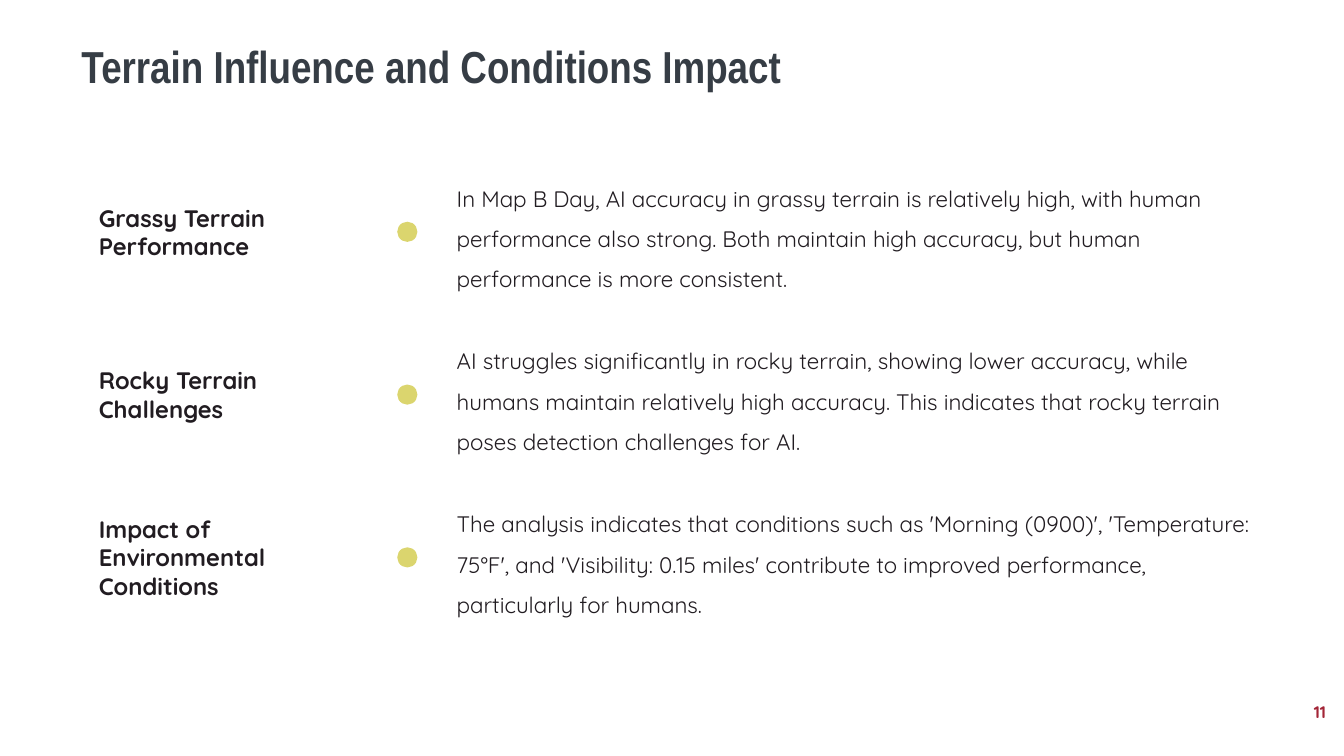
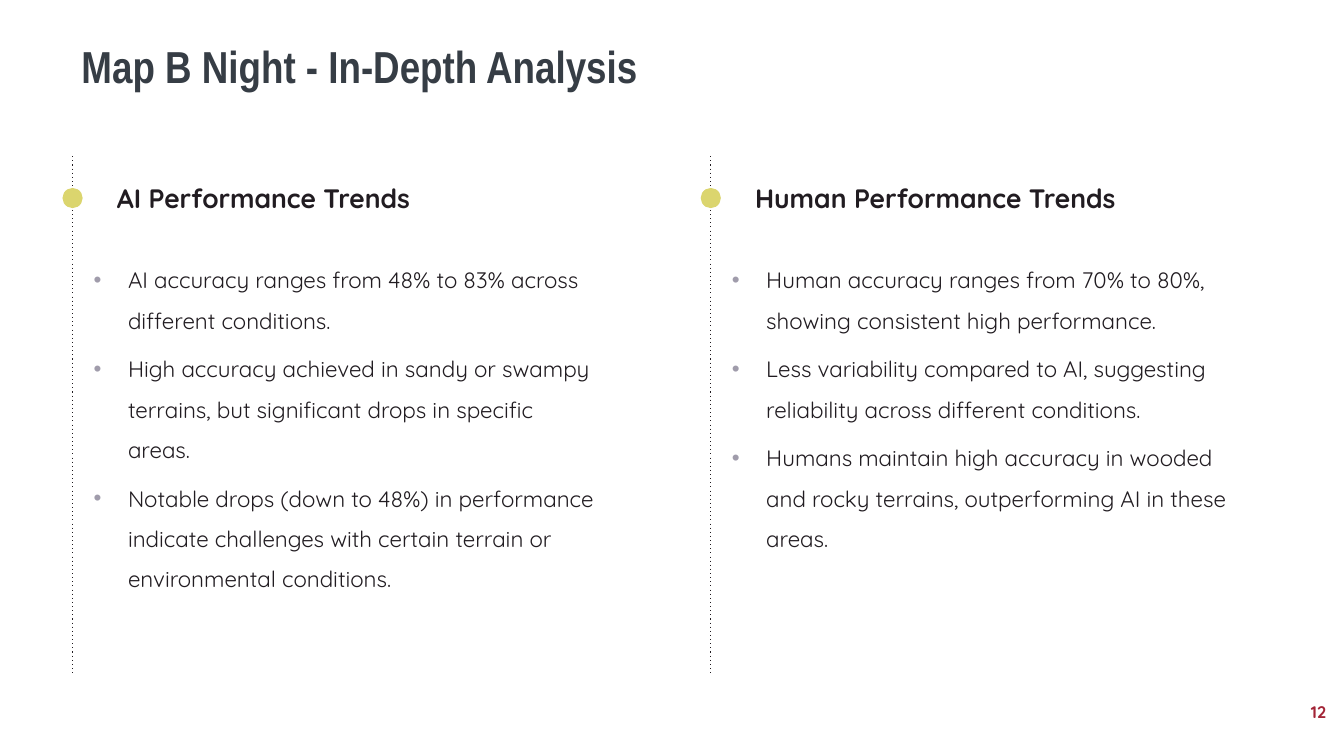
"""Builds two slides on terrain influence and night-time performance."""
from dataclasses import dataclass

from lxml import etree
from pptx import Presentation
from pptx import util as u
from pptx.dml.color import RGBColor
from pptx.enum import shapes, text
from pptx.oxml.ns import qn


@dataclass(frozen=True)
class Theme:
    """Colours, fonts and type sizes shared by the slides."""
    title: str = "363D45"
    ink: str = "211C21"
    accent: str = "DBD56E"
    bullet: str = "A09CAB"
    number: str = "A32537"
    title_font: str = "Arial Narrow"
    body_font: str = "Quicksand"
    title_size: int = 32
    heading_size: int = 19
    label_size: int = 17
    body_size: int = 16
    number_size: int = 12


THEME = Theme()
LEFT, RIGHT = text.PP_ALIGN.LEFT, text.PP_ALIGN.RIGHT
TOP, MIDDLE = text.MSO_ANCHOR.TOP, text.MSO_ANCHOR.MIDDLE
PAD, WIDE_PAD = 0.13, 0.27

TERRAIN_ROWS = [
    ("Grassy Terrain Performance",
     "In Map B Day, AI accuracy in grassy terrain is relatively high, with human performance "
     "also strong. Both maintain high accuracy, but human performance is more consistent."),
    ("Rocky Terrain Challenges",
     "AI struggles significantly in rocky terrain, showing lower accuracy, while humans maintain "
     "relatively high accuracy. This indicates that rocky terrain poses detection challenges for AI."),
    ("Impact of Environmental Conditions",
     "The analysis indicates that conditions such as 'Morning (0900)', 'Temperature: 75°F', and "
     "'Visibility: 0.15 miles' contribute to improved performance, particularly for humans."),
]

NIGHT_TRENDS = [
    ("AI Performance Trends", [
        "AI accuracy ranges from 48% to 83% across different conditions.",
        "High accuracy achieved in sandy or swampy terrains, but significant drops in specific areas.",
        "Notable drops (down to 48%) in performance indicate challenges with certain terrain or "
        "environmental conditions.",
    ]),
    ("Human Performance Trends", [
        "Human accuracy ranges from 70% to 80%, showing consistent high performance.",
        "Less variability compared to AI, suggesting reliability across different conditions.",
        "Humans maintain high accuracy in wooded and rocky terrains, outperforming AI in these areas.",
    ]),
]


def add_bullet(paragraph):
    """Give a paragraph a hanging coloured bullet."""
    props = paragraph._p.get_or_add_pPr()
    props.set("marL", str(u.Inches(0.42)))
    props.set("indent", str(u.Inches(-0.34)))
    colour = etree.SubElement(props, qn("a:buClr"))
    etree.SubElement(colour, qn("a:srgbClr"), val=THEME.bullet)
    etree.SubElement(props, qn("a:buFont"), typeface="Arial")
    etree.SubElement(props, qn("a:buChar"), char="•")


def add_text(slide, lines, left, top, width, height, *, size=THEME.body_size,
             font=THEME.body_font, colour=THEME.ink, bold=False, align=LEFT, anchor=MIDDLE,
             spacing=1.0, before=0, bulleted=False, insets=(PAD, PAD, PAD, PAD)):
    """Add a text box with one paragraph for each line."""
    box = slide.shapes.add_textbox(*map(u.Inches, (left, top, width, height)))
    frame = box.text_frame
    frame.word_wrap = True
    frame.vertical_anchor = anchor
    (frame.margin_left, frame.margin_top,
     frame.margin_right, frame.margin_bottom) = map(u.Inches, insets)
    for index, line in enumerate(lines):
        paragraph = frame.add_paragraph() if index else frame.paragraphs[0]
        if bulleted:
            add_bullet(paragraph)
        paragraph.alignment = align
        paragraph.line_spacing = spacing
        if index:
            paragraph.space_before = u.Pt(before)
        run = paragraph.add_run()
        run.text = line
        run.font.name = font
        run.font.size = u.Pt(size)
        run.font.bold = bold
        run.font.color.rgb = RGBColor.from_string(colour)


def add_dot(slide, x, y, diameter=0.2):
    """Add an accent dot centred on a point."""
    corner = (x - diameter / 2, y - diameter / 2)
    dot = slide.shapes.add_shape(shapes.MSO_SHAPE.OVAL,
                                 *map(u.Inches, (*corner, diameter, diameter)))
    dot.shadow.inherit = False
    dot.fill.solid()
    dot.fill.fore_color.rgb = RGBColor.from_string(THEME.accent)
    dot.line.fill.background()


def add_dotted_rule(slide, x, top, bottom):
    """Add a vertical dotted line."""
    rule = slide.shapes.add_connector(shapes.MSO_CONNECTOR.STRAIGHT,
                                      *map(u.Inches, (x, top, x, bottom)))
    rule.line.color.rgb = RGBColor.from_string(THEME.ink)
    rule.line.width = u.Pt(0.75)
    props = rule.element.spPr
    etree.SubElement(props.find(qn("a:ln")), qn("a:prstDash"), val="dot")
    etree.SubElement(props, qn("a:effectLst"))


def add_slide(deck, title, number):
    """Add a blank slide with its title and page number."""
    slide = deck.slides.add_slide(deck.slide_layouts[6])
    insets = (0.1, 0.05, 0.1, 0.05)
    add_text(slide, [title], 0.71, 0.4, 11.71, 0.8, size=THEME.title_size,
             font=THEME.title_font, colour=THEME.title, bold=True, anchor=TOP,
             spacing=0.9, insets=insets)
    add_text(slide, [str(number)], 10.25, 6.86, 3, 0.4, size=THEME.number_size,
             colour=THEME.number, bold=True, align=RIGHT, insets=insets)
    return slide


def add_terrain_rows(slide, rows):
    """Stack label, dot and description rows at an equal pitch."""
    first_top, last_top, height = 1.58, 4.81, 1.44
    pitch = (last_top - first_top) / (len(rows) - 1)
    for index, (label, description) in enumerate(rows):
        top = first_top + index * pitch
        add_text(slide, [label], 0.71, top, 3, height, size=THEME.label_size, bold=True,
                 insets=(WIDE_PAD, PAD, PAD, PAD))
        add_dot(slide, 4.04, top + height / 2)
        add_text(slide, [description], 4.4, top, 8.31, height, spacing=1.5,
                 insets=(PAD, PAD, WIDE_PAD, PAD))


def add_trend_columns(slide, columns):
    """Set headed bullet lists side by side along dotted rules."""
    top, heading_height, bottom = 1.55, 0.83, 6.7
    list_top = top + heading_height
    for index, (heading, points) in enumerate(columns):
        left = 0.72 + index * 6.33
        add_text(slide, points, left, list_top, 5.37, bottom - list_top, anchor=TOP,
                 spacing=1.5, before=6, bulleted=True)
        add_text(slide, [heading], left + 0.31, top, 5.06, heading_height,
                 size=THEME.heading_size, bold=True)
        add_dotted_rule(slide, left, top, bottom)
        add_dot(slide, left, top + heading_height / 2)


def main():
    """Build and save the deck."""
    deck = Presentation()
    deck.slide_width, deck.slide_height = u.Inches(13.33), u.Inches(7.5)
    add_terrain_rows(add_slide(deck, "Terrain Influence and Conditions Impact", 11), TERRAIN_ROWS)
    add_trend_columns(add_slide(deck, "Map B Night - In-Depth Analysis", 12), NIGHT_TRENDS)
    deck.save("out.pptx")


if __name__ == "__main__":
    main()
